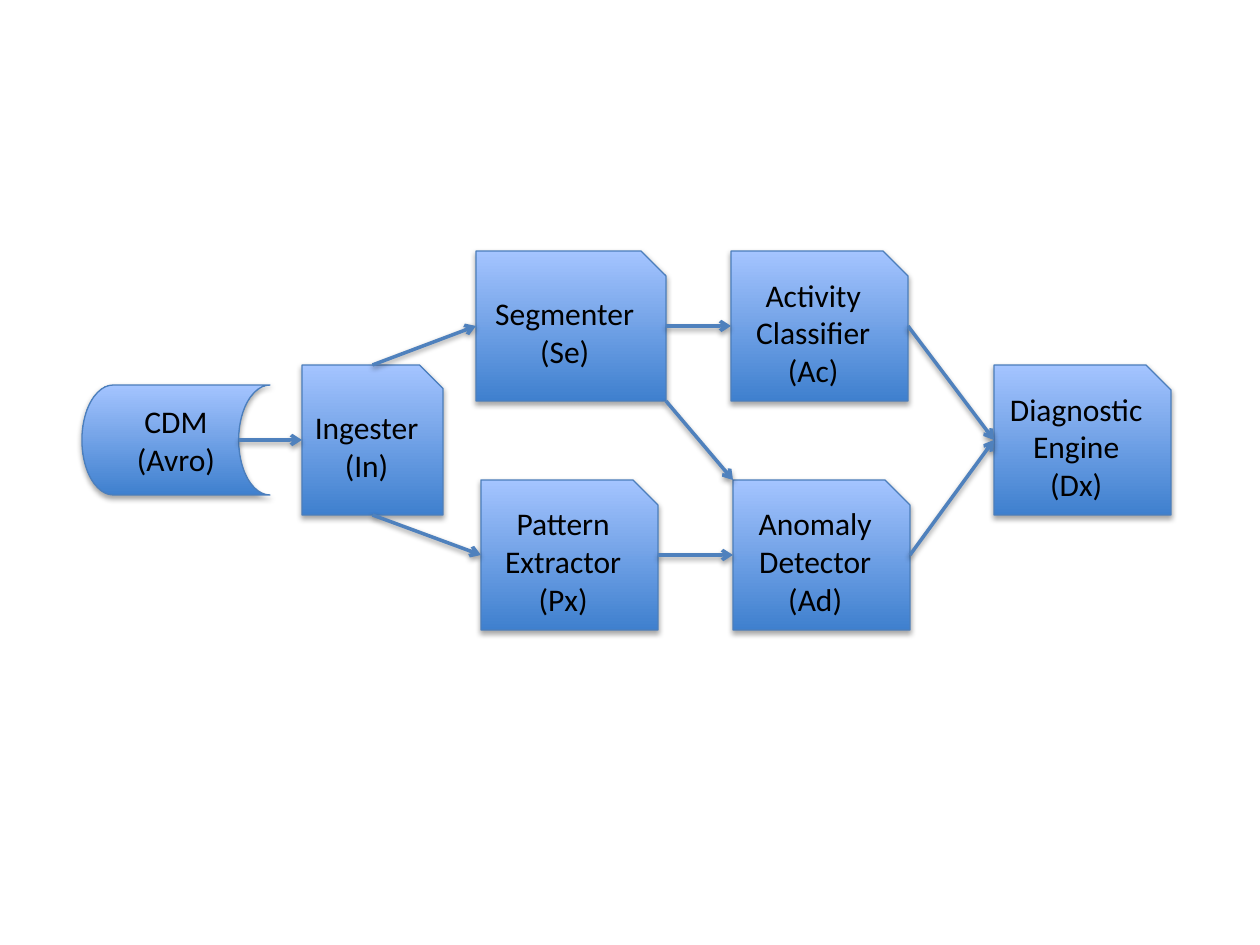
from dataclasses import dataclass

from lxml import etree
from pptx import Presentation
from pptx.dml.color import RGBColor
from pptx.enum.shapes import MSO_CONNECTOR, MSO_SHAPE
from pptx.enum.text import MSO_ANCHOR, PP_ALIGN
from pptx.oxml.ns import qn
from pptx.util import Pt

STRAIGHT = MSO_CONNECTOR.STRAIGHT
MODULE = MSO_SHAPE.SNIP_1_RECTANGLE
STORAGE = MSO_SHAPE.FLOWCHART_STORED_DATA
MIDDLE = MSO_ANCHOR.MIDDLE
CENTER = PP_ALIGN.CENTER
BLANK_LAYOUT = 6
EMU_PER_PIXEL = 914400 / 126


@dataclass(frozen=True)
class Theme:
    """Colours, type and line sizes of the diagram."""
    font: str = "Calibri"
    text_size: int = 18
    text: str = "000000"
    fill_bottom: str = "3F80CE"
    fill_top: str = "A4C4FF"
    outline: str = "4B7EBC"
    outline_width: float = 0.75
    arrow: str = "4F81BD"
    arrow_width: float = 2
    shadow: str = "000000"


def emu(pixels):
    """Turn pixels into EMU."""
    return round(pixels * EMU_PER_PIXEL)


def color(value):
    """Turn a hex string into a colour."""
    return RGBColor.from_string(value)


def anchor(shape, across, down):
    """Return the point at the given fractions of a shape's box."""
    return (round(shape.left + across * shape.width),
            round(shape.top + down * shape.height))


class Diagram:
    """Draws styled boxes and arrows on one slide."""

    def __init__(self, slide, theme):
        """Keep the slide and its style."""
        self.slide = slide
        self.theme = theme

    def shadow(self, element, distance, opacity):
        """Give a shape or connector a soft shadow below it."""
        properties = element._element.spPr
        effects = etree.SubElement(properties, qn("a:effectLst"))
        outer = etree.SubElement(effects, qn("a:outerShdw"), blurRad="40000",
                                 dist=str(Pt(distance)), dir="5400000", rotWithShape="0")
        shade = etree.SubElement(outer, qn("a:srgbClr"), val=self.theme.shadow)
        etree.SubElement(shade, qn("a:alpha"), val=str(opacity * 1000))

    def box(self, kind, left, top, width, height, text):
        """Add a gradient box with centred text."""
        theme = self.theme
        shape = self.slide.shapes.add_shape(
            kind, emu(left), emu(top), emu(width), emu(height))
        shape.fill.gradient()
        shape.fill.gradient_angle = 90
        for stop, value in zip(shape.fill.gradient_stops,
                               (theme.fill_bottom, theme.fill_top)):
            stop.color.rgb = color(value)
        shape.line.color.rgb = color(theme.outline)
        shape.line.width = Pt(theme.outline_width)
        self.shadow(shape, 1.8, 35)

        frame = shape.text_frame
        frame.text = text
        frame.word_wrap = True
        frame.vertical_anchor = MIDDLE
        for paragraph in frame.paragraphs:
            paragraph.alignment = CENTER
            for run in paragraph.runs:
                run.font.name = theme.font
                run.font.size = Pt(theme.text_size)
                run.font.color.rgb = color(theme.text)
        return shape

    def arrow(self, start, end):
        """Add an arrow between two points."""
        connector = self.slide.shapes.add_connector(STRAIGHT, *start, *end)
        connector.line.color.rgb = color(self.theme.arrow)
        connector.line.width = Pt(self.theme.arrow_width)
        etree.SubElement(connector.line._get_or_add_ln(), qn("a:tailEnd"), type="arrow")
        self.shadow(connector, 1.6, 38)


def build():
    """Build the pipeline slide and save it."""
    presentation = Presentation()
    presentation.slide_width = emu(1260)
    presentation.slide_height = emu(945)
    slide = presentation.slides.add_slide(presentation.slide_layouts[BLANK_LAYOUT])
    diagram = Diagram(slide, Theme())

    upper, middle, lower = 251, 365, 480
    modules = {
        "ingester": (302, middle, 141, "Ingester\v(In)"),
        "extractor": (481, lower, 177, "Pattern\vExtractor\n(Px)"),
        "segmenter": (476, upper, 190, "Segmenter\n(Se)"),
        "classifier": (731, upper, 177, "Activity\vClassifier\n(Ac)"),
        "detector": (733, lower, 177, "Anomaly\vDetector\n(Ad)"),
        "engine": (994, middle, 177, "Diagnostic\nEngine\n(Dx)"),
    }
    boxes = {name: diagram.box(MODULE, left, top, width, 150, text)
             for name, (left, top, width, text) in modules.items()}
    boxes["source"] = diagram.box(STORAGE, 82, 385, 188, 110, "CDM\v(Avro)")

    left, right, top, bottom = (0, 0.5), (1, 0.5), (0.5, 0), (0.5, 1)
    storage_right, top_left, bottom_right = (5 / 6, 0.5), (0, 0), (1, 1)
    flows = [
        ("source", storage_right, "ingester", left),
        ("ingester", top, "segmenter", left),
        ("ingester", bottom, "extractor", left),
        ("extractor", right, "detector", left),
        ("segmenter", right, "classifier", left),
        ("classifier", right, "engine", left),
        ("detector", right, "engine", left),
        ("segmenter", bottom_right, "detector", top_left),
    ]
    for origin, exit_side, target, entry_side in flows:
        diagram.arrow(anchor(boxes[origin], *exit_side),
                      anchor(boxes[target], *entry_side))

    presentation.save("out.pptx")


build()
